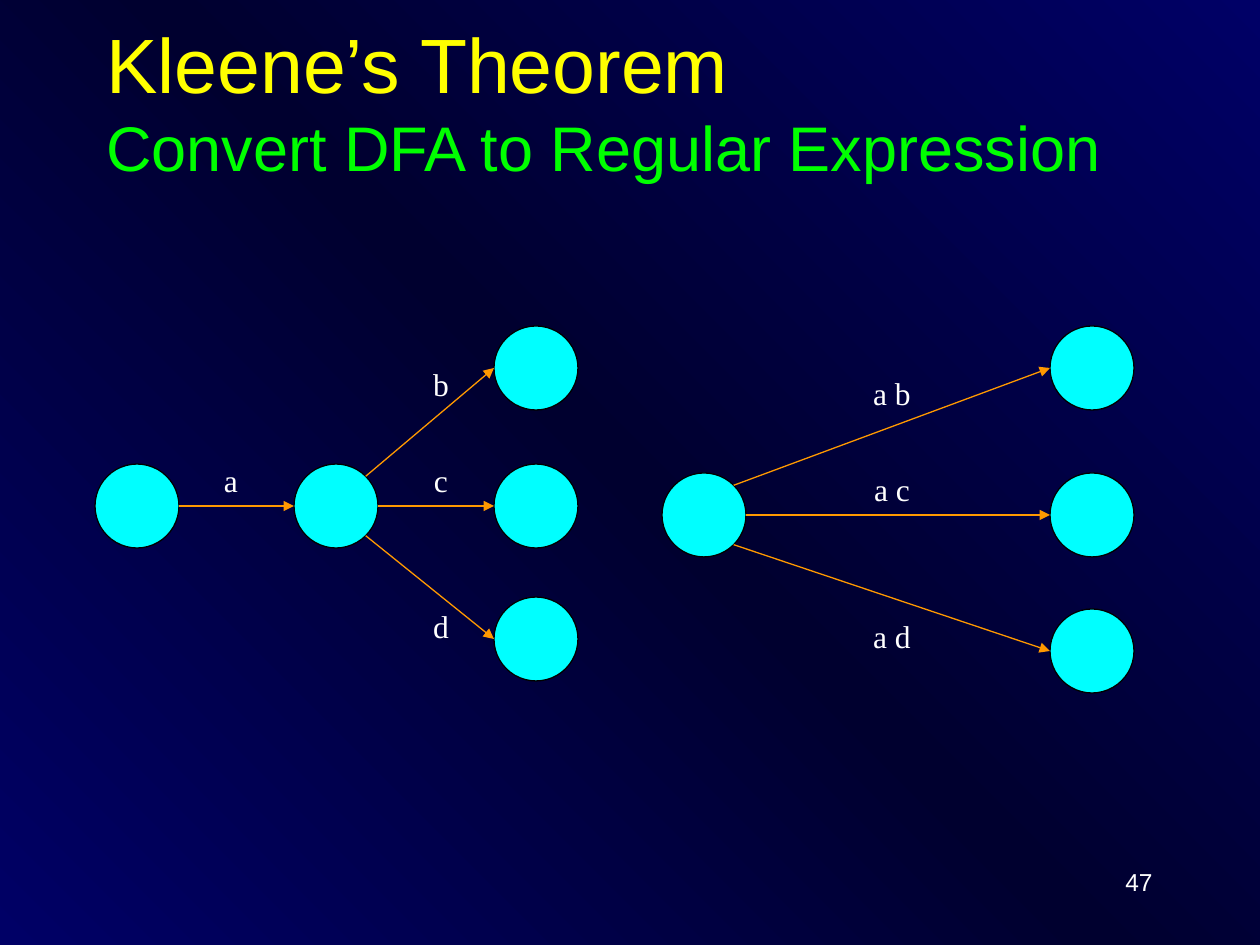
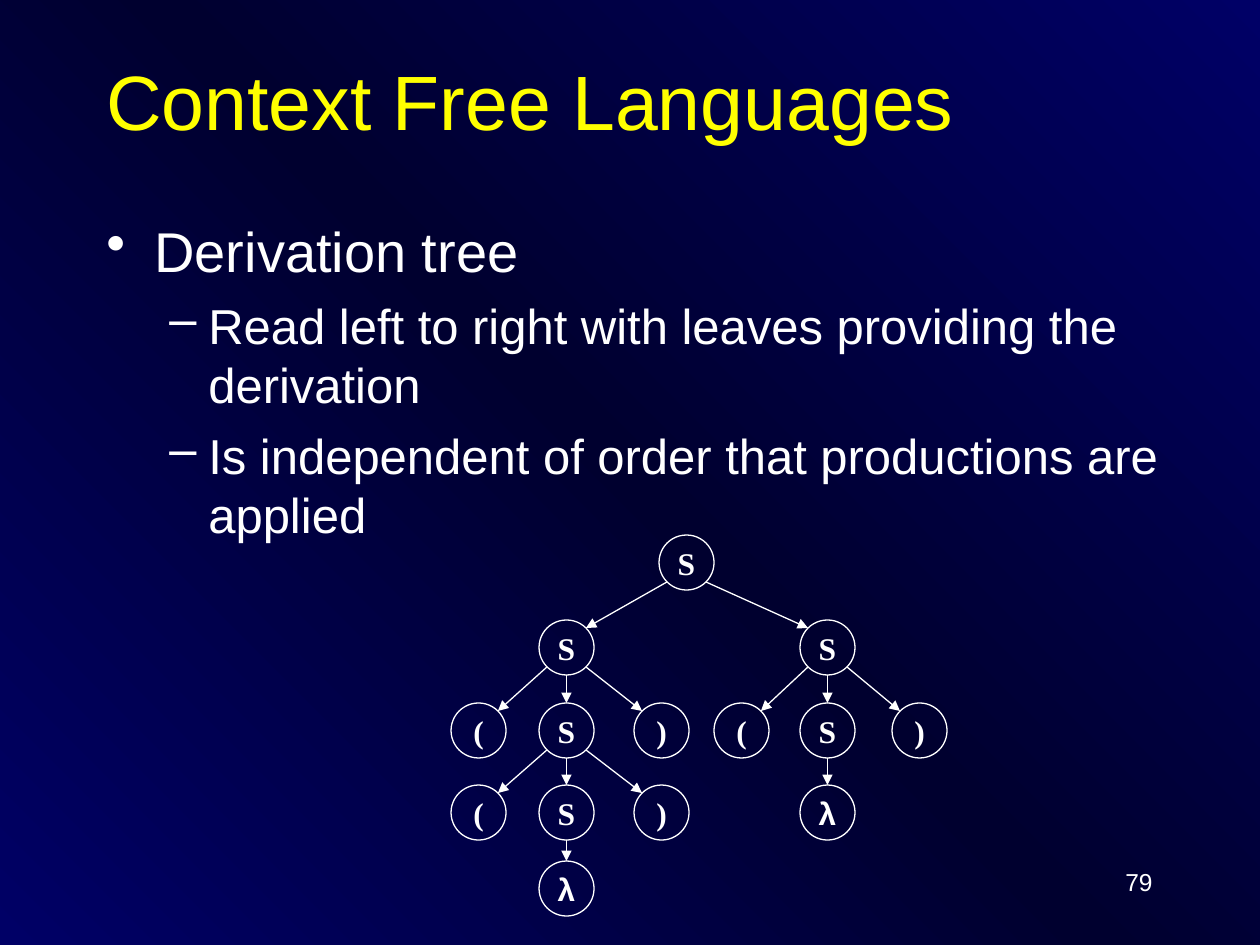
from copy import deepcopy
from math import sqrt

from pptx import Presentation
from pptx import util as u
from pptx.dml.color import RGBColor
from pptx.enum import shapes, text
from pptx.oxml.ns import qn
from pptx.oxml.xmlchemy import OxmlElement

PX = u.Inches(1) / 126
WHITE, BLACK, YELLOW, GREEN = "FFFFFF", "000000", "FFFF00", "00FF00"
CYAN, ORANGE, NAVY, MIDNIGHT = "00FFFF", "FF9900", "000066", "00002F"
SANS, SERIF = "Arial", "Times New Roman"
DIAGONAL = 1 / sqrt(2)
SIDES = {
    "left": (-1, 0), "right": (1, 0), "top": (0, -1), "bottom": (0, 1),
    "top left": (-DIAGONAL, -DIAGONAL), "top right": (DIAGONAL, -DIAGONAL),
    "bottom left": (-DIAGONAL, DIAGONAL), "bottom right": (DIAGONAL, DIAGONAL),
}


def px(length):
    return u.Emu(round(length * PX))


def color(value):
    return RGBColor.from_string(value)


def rim(circle, side):
    radius = circle.width / 2
    dx, dy = SIDES[side]
    return (u.Emu(round(circle.left + radius * (1 + dx))),
            u.Emu(round(circle.top + radius * (1 + dy))))


class Deck:
    title_box = (94, 21, 1071, 158)
    body_box = (94, 210, 1108, 630)
    number_box = (903, 861, 262, 63)
    levels = [
        dict(bullet="•", size=32, margin=48, hang=48, before=0),
        dict(bullet="–", size=28, margin=102, hang=39, before=7),
    ]

    def __init__(self):
        self.prs = Presentation()
        self.prs.slide_width, self.prs.slide_height = px(1260), px(945)

    def new_slide(self, title, number, subtitle=None):
        self.slide = self.prs.slides.add_slide(self.prs.slide_layouts[6])
        self.background()
        heading = self.box(self.title_box, vertical_anchor=text.MSO_ANCHOR.MIDDLE)
        line = heading.paragraphs[0]
        self.run(line, title, 44, hue=YELLOW)
        if subtitle:
            line.add_line_break()
            self.run(line, subtitle, 36, hue=GREEN)
        page = self.box(self.number_box).paragraphs[0]
        page.alignment = text.PP_ALIGN.RIGHT
        self.run(page, number, 14)

    def background(self):
        fill = self.slide.background.fill
        fill.gradient()
        fill.gradient_angle = 225
        stops = next(self.slide.element.iter(qn("a:gsLst")))
        stops.append(deepcopy(stops[-1]))
        for stop, position, hue in zip(fill.gradient_stops, (0, 0.5, 1), (NAVY, MIDNIGHT, NAVY)):
            stop.position = position
            stop.color.rgb = color(hue)

    def box(self, place, **formats):
        frame = self.slide.shapes.add_textbox(*map(px, place)).text_frame
        for name, value in {"word_wrap": True, **formats}.items():
            setattr(frame, name, value)
        return frame

    def run(self, paragraph, words, size, face=SANS, hue=WHITE, bold=False):
        run = paragraph.add_run()
        run.text = words
        for name, value in dict(size=u.Pt(size), name=face, bold=bold).items():
            setattr(run.font, name, value)
        run.font.color.rgb = color(hue)

    def bullets(self, items):
        frame = self.box(self.body_box)
        for index, (level, words) in enumerate(items):
            style = self.levels[level]
            paragraph = frame.add_paragraph() if index else frame.paragraphs[0]
            paragraph.level = level
            paragraph.space_before = u.Pt(style["before"])
            properties = paragraph._p.get_or_add_pPr()
            properties.set("marL", str(px(style["margin"])))
            properties.set("indent", str(-px(style["hang"])))
            bullet = OxmlElement("a:buChar")
            bullet.set("char", style["bullet"])
            properties.append(bullet)
            self.run(paragraph, words, style["size"])

    def label(self, left, top, words):
        frame = self.box((left, top, 126, 50), auto_size=text.MSO_AUTO_SIZE.SHAPE_TO_FIT_TEXT)
        paragraph = frame.paragraphs[0]
        paragraph.alignment = text.PP_ALIGN.CENTER
        self.run(paragraph, words, 18, SERIF)

    def circle(self, left, top, diameter, outline, fill=None):
        circle = self.slide.shapes.add_shape(
            shapes.MSO_SHAPE.OVAL, px(left), px(top), px(diameter), px(diameter))
        circle.shadow.inherit = False
        if fill:
            circle.fill.solid()
            circle.fill.fore_color.rgb = color(fill)
        else:
            circle.fill.background()
        circle.line.color.rgb = color(outline)
        circle.line.width = u.Pt(0.75)
        return circle

    def state(self, left, top):
        return self.circle(left, top, 84, BLACK, CYAN)

    def symbol(self, left, top, words):
        circle = self.circle(left, top, 55, WHITE)
        frame = circle.text_frame
        formats = dict(word_wrap=False, vertical_anchor=text.MSO_ANCHOR.MIDDLE)
        for name, value in formats.items():
            setattr(frame, name, value)
        paragraph = frame.paragraphs[0]
        paragraph.alignment = text.PP_ALIGN.CENTER
        self.run(paragraph, words, 18, SANS if words == "λ" else SERIF, bold=True)
        return circle

    def arrow(self, source, source_side, target, target_side, hue):
        arrow = self.slide.shapes.add_connector(
            shapes.MSO_CONNECTOR.STRAIGHT, *rim(source, source_side), *rim(target, target_side))
        arrow.line.color.rgb = color(hue)
        arrow.line.width = u.Pt(0.75)
        head = OxmlElement("a:tailEnd")
        head.set("type", "triangle")
        arrow.line._get_or_add_ln().append(head)
        arrow._element.spPr.append(OxmlElement("a:effectLst"))

    def branches(self, source, left, tops, label_left, labels):
        sides = ("top right", "right", "bottom right")
        for top, side, (label_top, words) in zip(tops, sides, labels):
            self.arrow(source, side, self.state(left, top), "left", ORANGE)
            self.label(label_left, label_top, words)

    def tree(self, node, tops):
        words, left, *children = node
        parent = self.symbol(left, tops[0], words)
        for child in children:
            leaf = self.tree(child, tops[1:])
            if child[1] == left:
                ends = "bottom", "top"
            elif child[1] < left:
                ends = "bottom left", "top right"
            else:
                ends = "bottom right", "top left"
            self.arrow(parent, ends[0], leaf, ends[1], WHITE)
        return parent


def kleene_slide(deck):
    deck.new_slide("Kleene’s Theorem", "47", "Convert DFA to Regular Expression")
    start, middle = deck.state(95, 464), deck.state(294, 464)
    deck.arrow(start, "right", middle, "left", ORANGE)
    deck.label(168, 455, "a")
    deck.branches(middle, 494, (326, 464, 597), 378, [(359, "b"), (455, "c"), (601, "d")])
    merged_start = deck.state(662, 473)
    deck.branches(merged_start, 1050, (326, 473, 609), 829,
                  [(368, "a b"), (464, "a c"), (611, "a d")])


def derivation_slide(deck):
    deck.new_slide("Context Free Languages", "79")
    deck.bullets([
        (0, "Derivation tree"),
        (1, "Read left to right with leaves providing the derivation"),
        (1, "Is independent of order that productions are applied"),
    ])
    inner = ("S", 539, ("(", 451), ("S", 539, ("λ", 539)), (")", 634))
    first = ("S", 539, ("(", 451), inner, (")", 634))
    second = ("S", 800, ("(", 714), ("S", 800, ("λ", 800)), (")", 892))
    deck.tree(("S", 659, first, second), (535, 620, 703, 785, 861))


def main():
    deck = Deck()
    kleene_slide(deck)
    derivation_slide(deck)
    deck.prs.save("out.pptx")


if __name__ == "__main__":
    main()
